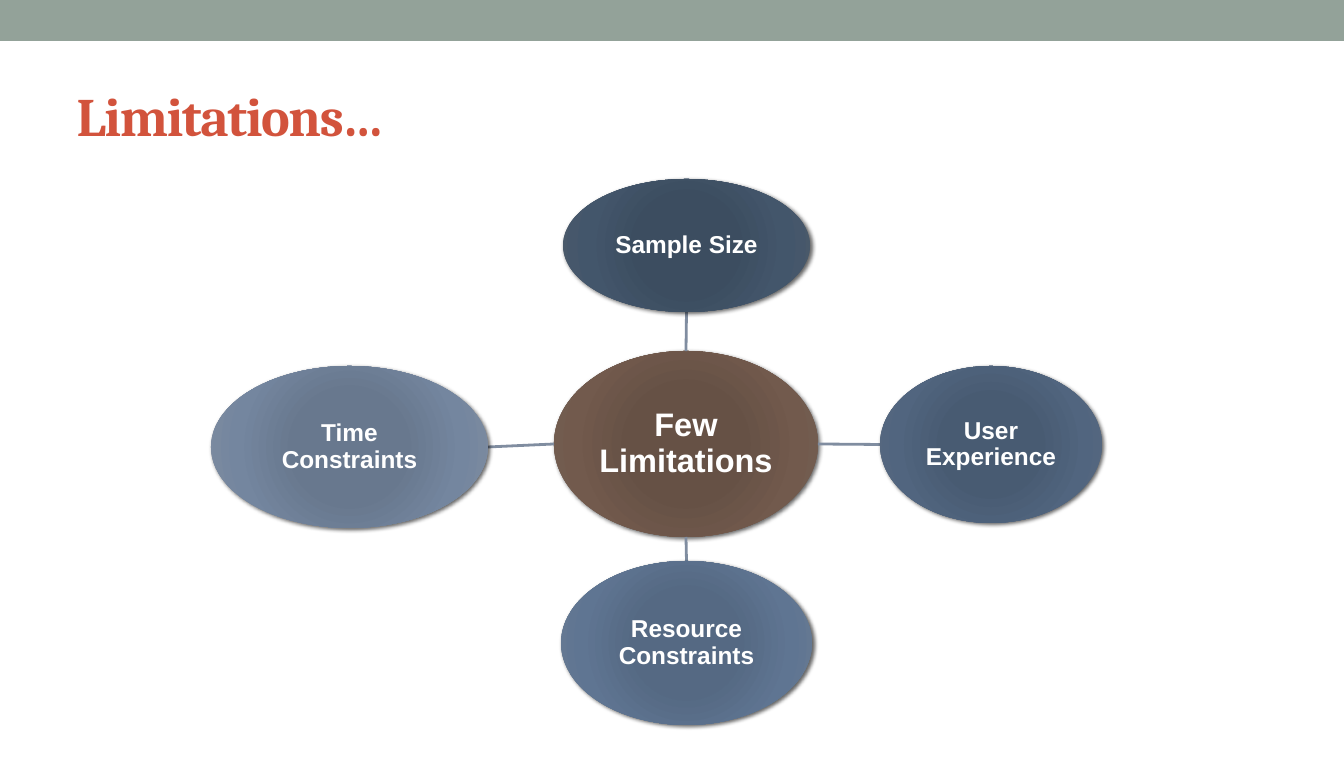
"""Build the limitations slide: one central topic linked to four constraints."""
from dataclasses import dataclass

from pptx import Presentation
from pptx.dml.color import RGBColor
from pptx.enum.shapes import MSO_CONNECTOR, MSO_SHAPE
from pptx.enum.text import MSO_ANCHOR, PP_ALIGN
from pptx.oxml import parse_xml
from pptx.oxml.ns import nsdecls, qn
from pptx.oxml.xmlchemy import OxmlElement
from pptx.shapes.autoshape import Shape
from pptx.slide import Slide
from pptx.text.text import TextFrame
from pptx.util import Emu, Pt

ELLIPSE = MSO_SHAPE.OVAL
RECTANGLE = MSO_SHAPE.RECTANGLE
STRAIGHT = MSO_CONNECTOR.STRAIGHT
MIDDLE = MSO_ANCHOR.MIDDLE
CENTER = PP_ALIGN.CENTER
LEFT = PP_ALIGN.LEFT

EMU_PER_PX = 914400 / 97.5
SLIDE_WIDTH, SLIDE_HEIGHT = 1344, 768
GRADIENT_POSITIONS = (0, 34, 70, 100)

WHITE = RGBColor(0xFF, 0xFF, 0xFF)
SAGE = RGBColor(0x93, 0xA2, 0x99)
BRICK = RGBColor(0xD2, 0x53, 0x3C)
LINK_BLUE = RGBColor(0x80, 0x8D, 0xA0)
BROWNS = (RGBColor(0x68, 0x50, 0x44), RGBColor(0x66, 0x51, 0x45),
          RGBColor(0x72, 0x5A, 0x4D), RGBColor(0x72, 0x60, 0x56))
NAVIES = (RGBColor(0x3B, 0x4D, 0x61), RGBColor(0x3C, 0x4D, 0x60),
          RGBColor(0x43, 0x56, 0x6B), RGBColor(0x4C, 0x5A, 0x6A))
SLATES = (RGBColor(0x47, 0x5B, 0x73), RGBColor(0x48, 0x5B, 0x72),
          RGBColor(0x51, 0x65, 0x7F), RGBColor(0x5C, 0x6B, 0x7E))
STEELS = (RGBColor(0x54, 0x69, 0x85), RGBColor(0x55, 0x69, 0x83),
          RGBColor(0x5F, 0x75, 0x92), RGBColor(0x6B, 0x7C, 0x91))
MISTS = (RGBColor(0x67, 0x77, 0x90), RGBColor(0x68, 0x78, 0x8E),
         RGBColor(0x74, 0x86, 0x9F), RGBColor(0x80, 0x8D, 0xA0))


@dataclass(frozen=True)
class Topic:
    """An ellipse with its label, place in px and gradient colours."""
    label: str
    left: int
    top: int
    width: int
    height: int
    colors: tuple[RGBColor, ...]
    font_size: int = 18

    def side(self, across: int, down: int) -> tuple[float, float]:
        """Return the point on the outline in the given direction."""
        return (self.left + self.width * (1 + across) / 2,
                self.top + self.height * (1 + down) / 2)


@dataclass(frozen=True)
class Branch:
    """A topic and its direction from the centre."""
    topic: Topic
    across: int
    down: int


HUB = Topic("Few Limitations", 554, 351, 264, 186, BROWNS, 24)
BRANCHES = (
    Branch(Topic("Sample Size", 563, 179, 247, 133, NAVIES), 0, -1),
    Branch(Topic("User Experience", 880, 366, 222, 157, SLATES), 1, 0),
    Branch(Topic("Resource Constraints", 561, 561, 251, 164, STEELS), 0, 1),
    Branch(Topic("Time Constraints", 211, 366, 277, 162, MISTS), -1, 0),
)


def px(length: float) -> Emu:
    """Convert px to EMU."""
    return Emu(round(length * EMU_PER_PX))


def write_text(frame: TextFrame, text: str, font_name: str, size: int,
               color: RGBColor, alignment: PP_ALIGN, spacing: float = 1.0):
    """Write one bold run, vertically centred, and return it."""
    frame.word_wrap = True
    frame.vertical_anchor = MIDDLE
    paragraph = frame.paragraphs[0]
    paragraph.alignment = alignment
    paragraph.line_spacing = spacing
    run = paragraph.add_run()
    run.text = text
    run.font.name = font_name
    run.font.size = Pt(size)
    run.font.bold = True
    run.font.color.rgb = color
    return run


def apply_radial_gradient(shape: Shape, colors: tuple[RGBColor, ...]) -> None:
    """Fill a shape with a circular gradient."""
    stops = "".join(
        f'<a:gs pos="{position * 1000}"><a:srgbClr val="{color}"/></a:gs>'
        for position, color in zip(GRADIENT_POSITIONS, colors))
    gradient = parse_xml(
        f'<a:gradFill {nsdecls("a")} rotWithShape="1"><a:gsLst>{stops}</a:gsLst>'
        '<a:path path="circle"><a:fillToRect l="100000" t="100000" '
        'r="100000" b="100000"/></a:path></a:gradFill>')
    shape.element.spPr.find(qn("a:prstGeom")).addnext(gradient)


def apply_shadow(shape: Shape) -> None:
    """Give a shape a soft shadow to the lower right."""
    shape.shadow.inherit = False
    shadow = parse_xml(
        f'<a:outerShdw {nsdecls("a")} blurRad="{Pt(3)}" dist="{Pt(2)}" '
        'dir="2700000" rotWithShape="0"><a:srgbClr val="000000">'
        '<a:alpha val="60000"/></a:srgbClr></a:outerShdw>')
    shape.element.spPr.find(qn("a:effectLst")).append(shadow)


def add_topic(slide: Slide, topic: Topic) -> None:
    """Draw a labelled ellipse."""
    shape = slide.shapes.add_shape(ELLIPSE, px(topic.left), px(topic.top),
                                   px(topic.width), px(topic.height))
    shape.line.fill.background()
    apply_radial_gradient(shape, topic.colors)
    apply_shadow(shape)
    frame = shape.text_frame
    frame.margin_left = frame.margin_right = px(1)
    frame.margin_top = frame.margin_bottom = px(1)
    write_text(frame, topic.label, "Arial", topic.font_size, WHITE, CENTER, 0.9)


def add_link(slide: Slide, branch: Branch) -> None:
    """Draw the line from the hub to a branch."""
    start = HUB.side(branch.across, branch.down)
    end = branch.topic.side(-branch.across, -branch.down)
    connector = slide.shapes.add_connector(
        STRAIGHT, *(px(length) for length in start + end))
    connector.line.color.rgb = LINK_BLUE
    connector.line.width = Pt(2.08)
    connector.element.spPr.append(OxmlElement("a:effectLst"))


def add_band(slide: Slide) -> None:
    """Draw the band along the top edge."""
    band = slide.shapes.add_shape(RECTANGLE, 0, 0, px(SLIDE_WIDTH), px(41))
    band.fill.solid()
    band.fill.fore_color.rgb = SAGE
    band.line.fill.background()
    band.shadow.inherit = False


def add_title(slide: Slide) -> None:
    """Write the slide title."""
    title = slide.shapes.add_textbox(px(67), px(59), px(1209), px(111))
    run = write_text(title.text_frame, "Limitations…", "Cambria", 40, BRICK, LEFT)
    run.font._element.set("spc", "-100")


def main() -> None:
    """Build and save the presentation."""
    presentation = Presentation()
    presentation.slide_width = px(SLIDE_WIDTH)
    presentation.slide_height = px(SLIDE_HEIGHT)
    slide = presentation.slides.add_slide(presentation.slide_layouts[6])
    add_band(slide)
    add_title(slide)
    add_topic(slide, HUB)
    for branch in BRANCHES:
        add_link(slide, branch)
        add_topic(slide, branch.topic)
    presentation.save("out.pptx")


if __name__ == "__main__":
    main()
